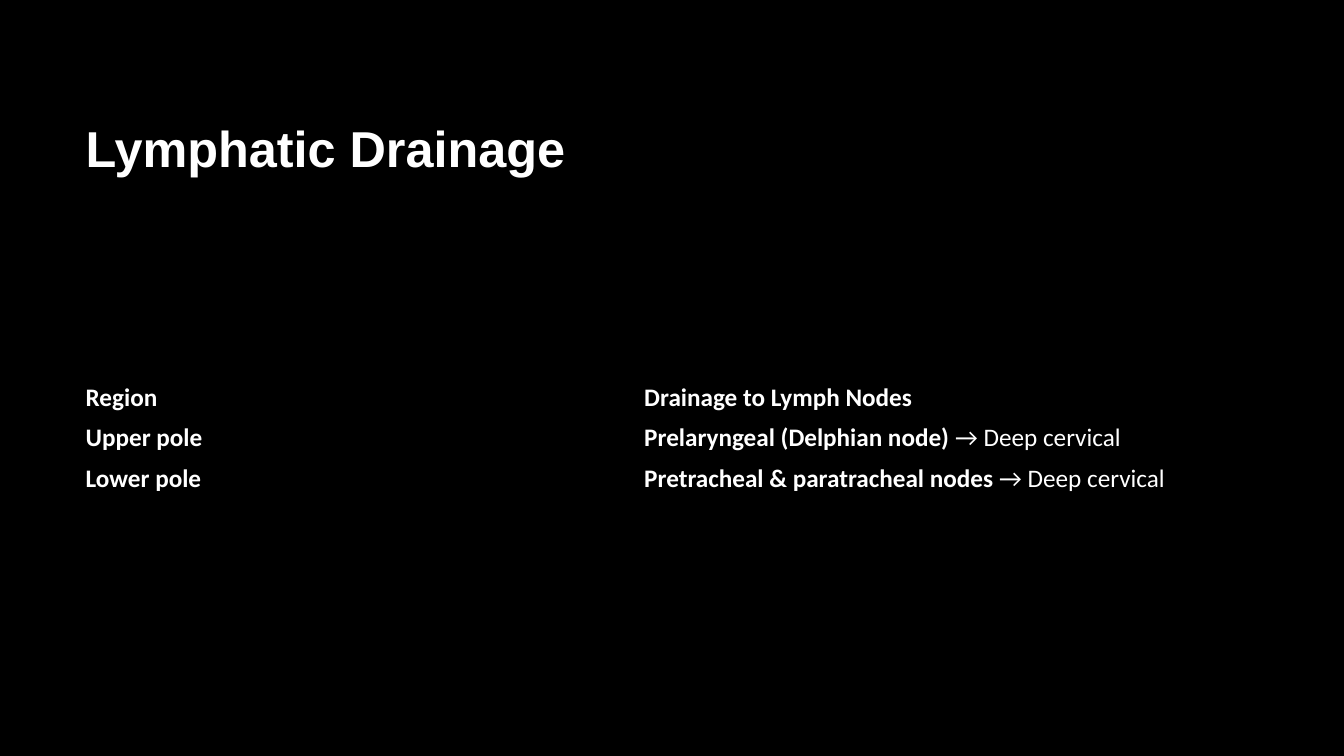
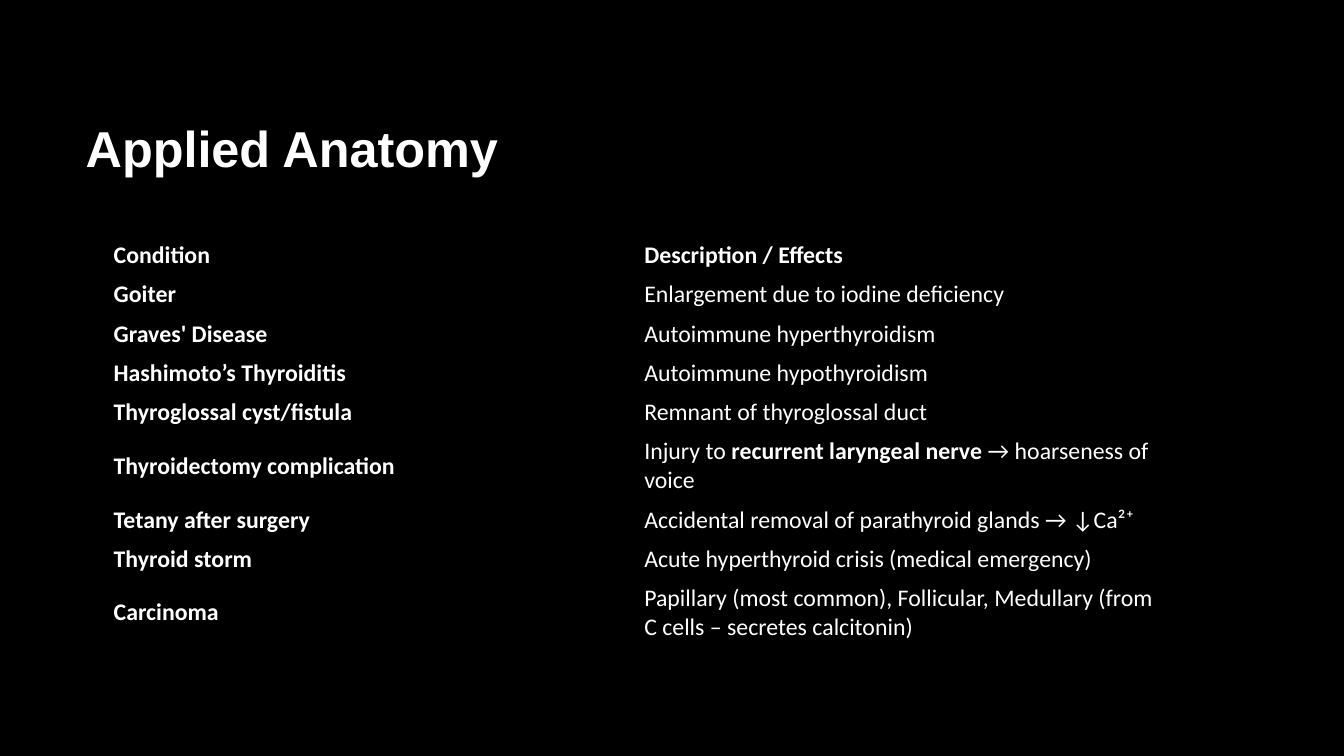
from lxml import etree
from pptx import Presentation
from pptx.dml.color import RGBColor
from pptx.enum.text import MSO_ANCHOR, PP_ALIGN
from pptx.oxml.ns import qn
from pptx.util import Pt

COLOURS = {"page": "000000", "text": "FFFFFF"}
TITLE_FONT, TABLE_FONT = "Arial", "Calibri"
TITLE_AREA = (54, 48, 798, 114.5)
TABLE_CENTRE = 453

# Text between ** marks is bold.
DRAINAGE = [
    ("**Region**", "**Drainage to Lymph Nodes**"),
    ("**Upper pole**", "**Prelaryngeal (Delphian node)** → Deep cervical"),
    ("**Lower pole**", "**Pretracheal & paratracheal nodes** → Deep cervical"),
]
CONDITIONS = [
    ("**Condition**", "**Description / Effects**"),
    ("**Goiter**", "Enlargement due to iodine deficiency"),
    ("**Graves' Disease**", "Autoimmune hyperthyroidism"),
    ("**Hashimoto’s Thyroiditis**", "Autoimmune hypothyroidism"),
    ("**Thyroglossal cyst/fistula**", "Remnant of thyroglossal duct"),
    ("**Thyroidectomy complication**",
     "Injury to **recurrent laryngeal nerve** → hoarseness of voice"),
    ("**Tetany after surgery**",
     "Accidental removal of parathyroid glands → ↓Ca²⁺"),
    ("**Thyroid storm**", "Acute hyperthyroid crisis (medical emergency)"),
    ("**Carcinoma**", "Papillary (most common), Follicular, Medullary "
                      "(from C cells – secretes calcitonin)"),
]


class Deck:
    def __init__(self):
        self.deck = Presentation()
        self.deck.slide_width, self.deck.slide_height = Pt(960), Pt(540)
        fill = self.deck.slide_master.background.fill
        fill.solid()
        fill.fore_color.rgb = RGBColor.from_string(COLOURS["page"])
        self.page = None

    def style(self, para, name, size):
        para.font.name = name
        para.font.size = Pt(size)
        para.font.color.rgb = RGBColor.from_string(COLOURS["text"])

    def add_page(self, title):
        self.page = self.deck.slides.add_slide(self.deck.slide_layouts[5])
        box = self.page.shapes.title
        box.left, box.top, box.width, box.height = map(Pt, TITLE_AREA)
        frame = box.text_frame
        frame.text = title
        frame.vertical_anchor = MSO_ANCHOR.MIDDLE
        para = frame.paragraphs[0]
        para.alignment = PP_ALIGN.LEFT
        self.style(para, TITLE_FONT, 36)
        para.font.bold = True

    def add_table(self, rows, top, width, heights, size):
        """Add a table without lines or fills, centred on TABLE_CENTRE."""
        table = self.page.shapes.add_table(
            len(rows), len(rows[0]), Pt(TABLE_CENTRE - width / 2), Pt(top),
            Pt(width), Pt(sum(heights))).table
        table.first_row = table.horz_banding = False
        for row, height, texts in zip(table.rows, heights, rows):
            row.height = Pt(height)
            for cell, text in zip(row.cells, texts):
                self.fill_cell(cell, text, size)

    def fill_cell(self, cell, text, size):
        properties = cell._tc.get_or_add_tcPr()
        for side in ("a:lnL", "a:lnR", "a:lnT", "a:lnB"):
            line = etree.SubElement(properties, qn(side))
            etree.SubElement(line, qn("a:noFill"))
        cell.fill.background()
        cell.vertical_anchor = MSO_ANCHOR.MIDDLE
        para = cell.text_frame.paragraphs[0]
        self.style(para, TABLE_FONT, size)
        for index, part in enumerate(text.split("**")):
            if part:
                span = para.add_run()
                span.text = part
                span.font.bold = index % 2 == 1


def main():
    slides = Deck()
    slides.add_page("Lymphatic Drainage")
    slides.add_table(DRAINAGE, 269.3, 798, [28.8] * len(DRAINAGE), 18)

    slides.add_page("Applied Anatomy")
    single, double = 27.7, 48.4
    heights = [single] * 5 + [double] + [single] * 2 + [double]
    slides.add_table(CONDITIONS, 168.5, 758, heights, 17)
    slides.deck.save("out.pptx")


if __name__ == "__main__":
    main()
